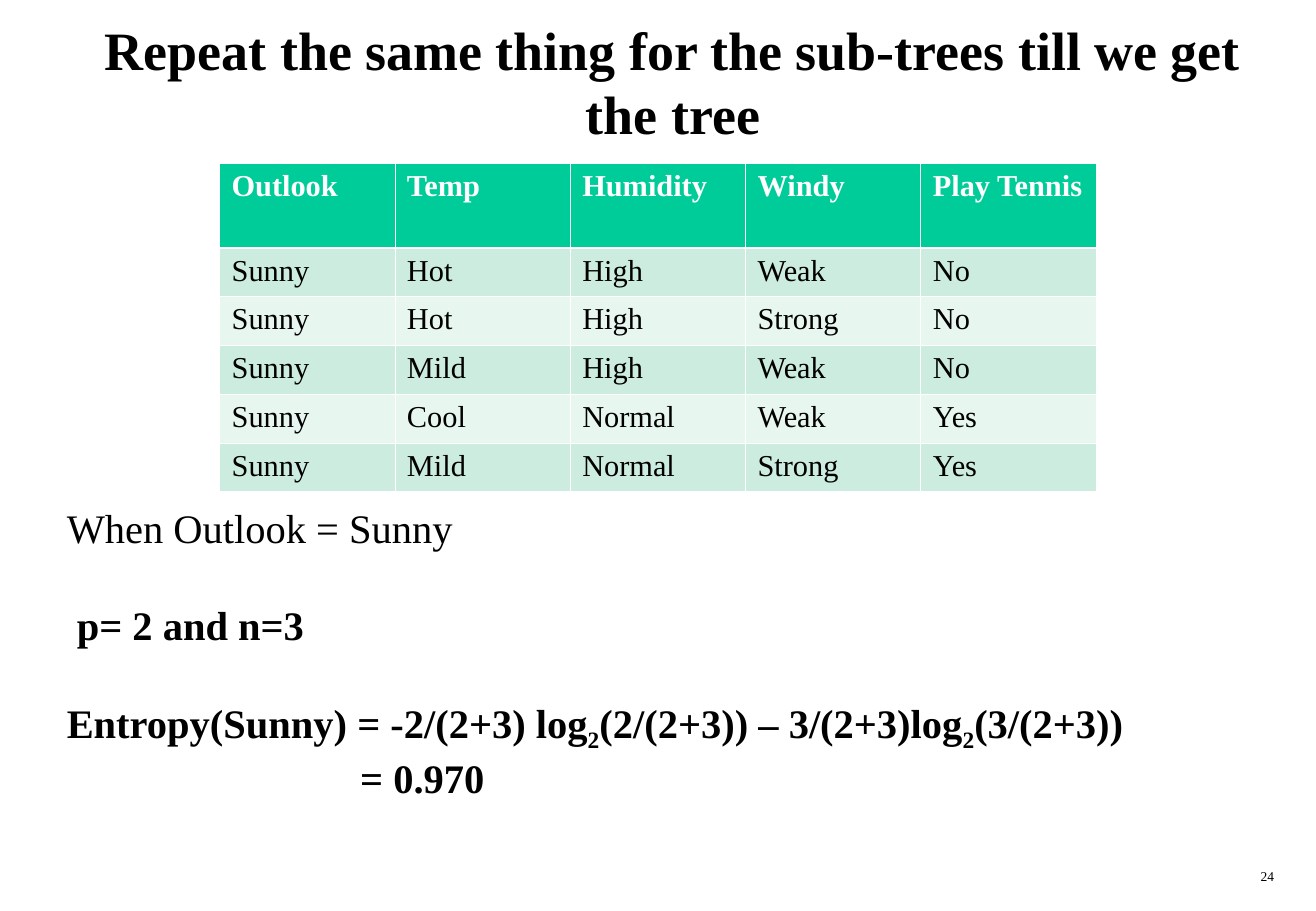
from dataclasses import dataclass
from lxml.etree import SubElement
from pptx import Presentation
from pptx.dml.color import RGBColor
from pptx.enum.text import MSO_ANCHOR, MSO_AUTO_SIZE, PP_ALIGN
from pptx.oxml import parse_xml
from pptx.oxml.ns import nsdecls, qn
from pptx.util import Pt


@dataclass(frozen=True)
class Theme:
    face: str = "Times New Roman"
    ink: str = "000000"
    white: str = "FFFFFF"
    head: str = "00CC99"
    dark: str = "CBECDE"
    light: str = "E7F6EF"
    title: float = 32
    body: float = 24
    cell: float = 18
    number: float = 8


theme = Theme()


def style(para, size, color=theme.ink, bold=False):
    for run in para.runs:
        font = run.font
        font.name, font.size, font.bold = theme.face, Pt(size), bold
        font.color.rgb = RGBColor.from_string(color)


def place(shape, left, top, width, height):
    shape.left, shape.top = Pt(left), Pt(top)
    shape.width, shape.height = Pt(width), Pt(height)
    shape.text_frame.word_wrap = True
    shape.text_frame.auto_size = MSO_AUTO_SIZE.NONE


deck = Presentation()
deck.slide_width, deck.slide_height = Pt(780.48), Pt(540)
slide = deck.slides.add_slide(deck.slide_layouts[1])

# Title
title = slide.shapes.title
place(title, 30.25, 12, 738, 72)
frame = title.text_frame
frame.text = "Repeat the same thing for the sub-trees till we get the tree"
frame.vertical_anchor = MSO_ANCHOR.MIDDLE
frame.paragraphs[0].alignment = PP_ALIGN.CENTER
style(frame.paragraphs[0], theme.title, bold=True)

# Table of sunny days
days = [
    ("Outlook", "Temp", "Humidity", "Windy", "Play Tennis"),
    ("Sunny", "Hot", "High", "Weak", "No"),
    ("Sunny", "Hot", "High", "Strong", "No"),
    ("Sunny", "Mild", "High", "Weak", "No"),
    ("Sunny", "Cool", "Normal", "Weak", "Yes"),
    ("Sunny", "Mild", "Normal", "Strong", "Yes"),
]
holder = slide.shapes.add_table(
    len(days), len(days[0]), Pt(130.2), Pt(97), Pt(520), Pt(194.5))
table = holder.table
for col in table.columns:
    col.width = Pt(104)
for r, day in enumerate(days):
    table.rows[r].height = Pt(28.9 if r else 50)
    back = theme.head if r == 0 else theme.dark if r % 2 else theme.light
    for c, word in enumerate(day):
        cell = table.cell(r, c)
        cell.text = word
        cell.fill.solid()
        cell.fill.fore_color.rgb = RGBColor.from_string(back)
        style(cell.text_frame.paragraphs[0], theme.cell,
              theme.ink if r else theme.white, r == 0)
        # Thin white borders, thicker under the header
        for i, side in enumerate("LRTB"):
            thick = (r, side) in ((0, "B"), (1, "T"))
            width = Pt(1.47 if thick else 0.45)
            cell._tc.get_or_add_tcPr().insert(i, parse_xml(
                f'<a:ln{side} {nsdecls("a")} w="{width}"><a:solidFill>'
                f'<a:srgbClr val="{theme.white}"/></a:solidFill></a:ln{side}>'))

# Entropy steps: text with "_" before each subscript digit, bold, indent, gap
steps = [
    ("When Outlook = Sunny", False, 0, 0),
    ("p= 2 and n=3", True, 6, 29),
    ("Entropy(Sunny) = -2/(2+3) log_2(2/(2+3)) – 3/(2+3)log_2(3/(2+3))",
     True, 0, 29),
    ("= 0.970", True, 174, 0),
]
body = slide.placeholders[1]
place(body, 32.4, 294.5, 736, 184)
frame = body.text_frame
for i, (text, bold, indent, gap) in enumerate(steps):
    para = frame.add_paragraph() if i else frame.paragraphs[0]
    props = para._p.get_or_add_pPr()
    props.set("marL", str(Pt(indent)))
    props.set("indent", "0")
    SubElement(props, qn("a:buNone"))
    para.space_before = Pt(gap)
    first, *rest = text.split("_")
    para.add_run().text = first
    for part in rest:
        sub = para.add_run()
        sub.text = part[0]
        sub.font._element.set("baseline", "-25000")
        para.add_run().text = part[1:]
    style(para, theme.body, bold=bold)

# Slide number
number = slide.shapes.add_textbox(0, 0, 0, 0)
place(number, 600, 511, 162.75, 18)
number.text_frame.text = "24"
para = number.text_frame.paragraphs[0]
para.alignment = PP_ALIGN.RIGHT
style(para, theme.number)

deck.save("out.pptx")
